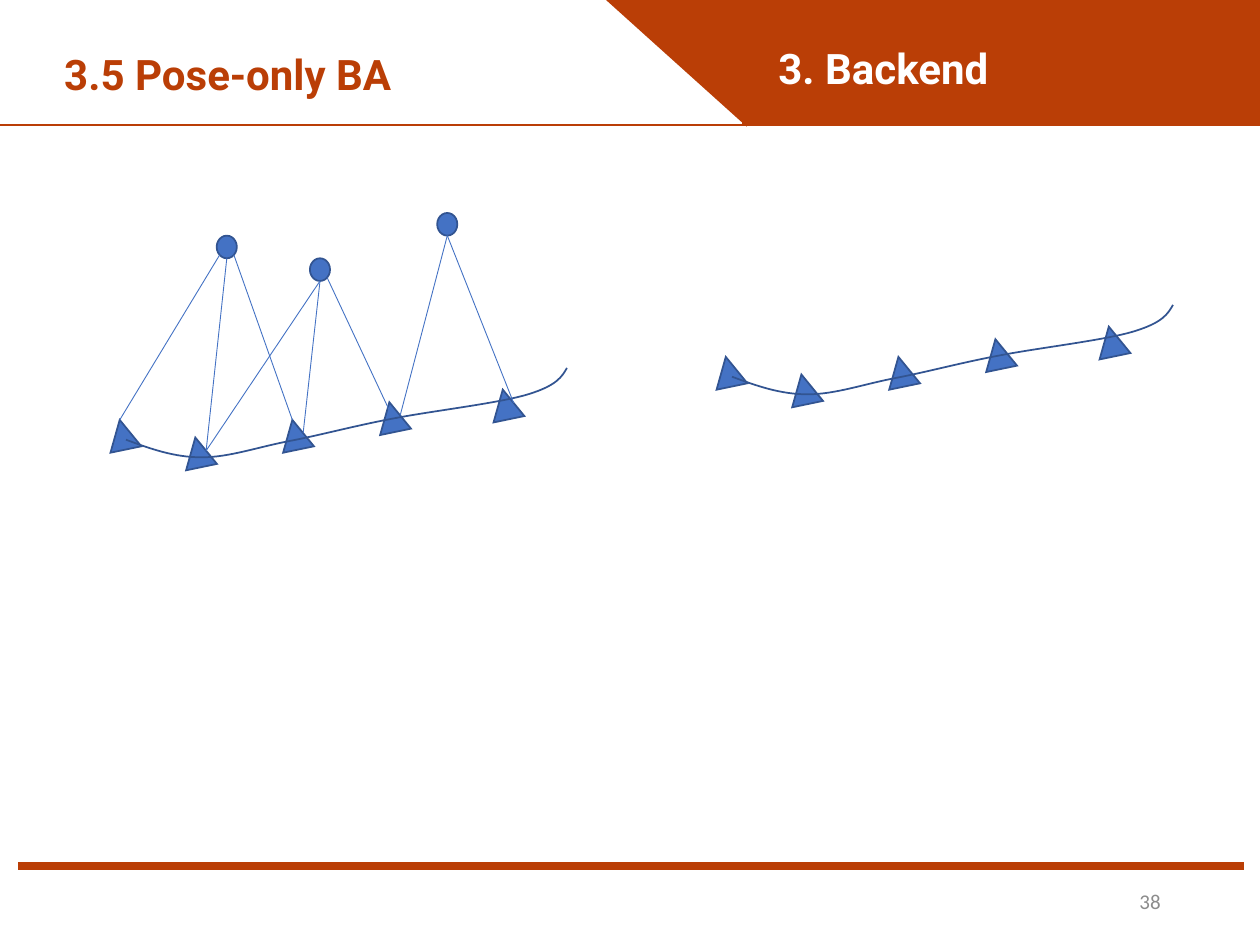
import math
from dataclasses import dataclass

import pptx
import pptx.util
import pptx.dml.color
import pptx.enum.shapes
import pptx.enum.text
import pptx.oxml.ns
from lxml import etree

KIND = pptx.enum.shapes.MSO_SHAPE
ALIGN = pptx.enum.text.PP_ALIGN
COLS, ROWS = 100, 75
CELL = pptx.util.Inches(0.1)


@dataclass(frozen=True)
class Theme:
    rust: str = "BA3E06"
    white: str = "FFFFFF"
    gray: str = "8C8C8C"
    blue: str = "4472C4"
    navy: str = "325491"
    head: str = "Roboto"
    body: str = "Calibri"
    big: int = 24
    small: int = 12
    edge: float = 1
    thin: float = 0.5


THEME = Theme()

# Grid cells, relative to the corner of the track or view
POSES = [(0, 4.1), (6, 5.5), (13.7, 4.1), (21.4, 2.7), (30.4, 1.7)]
POSE_W, POSE_H, TILT = 2.5, 2.4, -11.8
# Curve knots: a start, then two controls and an end for each arc
TRAIL = [(1.5, 5.7), (3.4, 6.4), (5.3, 7.1), (7.5, 7.1), (9.7, 7.1),
         (11.9, 6.3), (14.5, 5.8), (17.1, 5.3), (19.6, 4.6), (22.8, 4),
         (25.9, 3.4), (31.1, 2.8), (33.4, 2.1), (35.7, 1.4), (36.1, 0.7),
         (36.5, 0)]
MARKS = [(8.7, 1.8), (16.1, 3.6), (26.2, 0)]
MARK_W, MARK_H = 1.6, 1.8
DROP = 12.3  # rows from the top of the view to its track

# Angle on a landmark, and offset from the centre of a pose
LEFT, DOWN, RIGHT = 135, 90, 45
APEX, SIDE, CORE = (0, -POSE_H / 2), (POSE_W / 4, 0), (0, 0)
RAYS = [(0, LEFT, 0, APEX), (0, DOWN, 1, SIDE), (0, RIGHT, 2, APEX),
        (1, DOWN, 1, SIDE), (1, DOWN, 2, SIDE), (1, RIGHT, 3, CORE),
        (2, DOWN, 3, SIDE), (2, DOWN, 4, SIDE)]


def tag(name):
    return pptx.oxml.ns.qn("a:" + name)


def cells(*counts):
    return [round(count * CELL) for count in counts]


def color(code):
    return pptx.dml.color.RGBColor.from_string(code)


def stroke(shape, ink, size):
    shape.line.color.rgb = color(ink)
    shape.line.width = pptx.util.Pt(size)
    edge = shape.element.spPr.find(tag("ln"))
    etree.SubElement(edge, tag("miter"), lim="800000")


def draw(slide, kind, box, fill, line, turn=0):
    shape = slide.shapes.add_shape(kind, *cells(*box))
    shape.shadow.inherit = False
    shape.fill.solid()
    shape.fill.fore_color.rgb = color(fill)
    stroke(shape, line, THEME.edge)
    shape.rotation = turn
    return shape


def write(shape, box, text, font, size, ink, bold=False, align=ALIGN.LEFT):
    shape.left, shape.top, shape.width, shape.height = cells(*box)
    frame = shape.text_frame
    frame.text = text
    frame.word_wrap = True
    frame.vertical_anchor = pptx.enum.text.MSO_ANCHOR.MIDDLE
    para = frame.paragraphs[0]
    para.alignment = align
    para.line_spacing = 0.9 if bold else 1.0
    face = para.runs[0].font
    face.name, face.size, face.bold = font, pptx.util.Pt(size), bold
    face.color.rgb = color(ink)


def header(slide, box, title, part):
    """Draw the split banner with the slide title and the part name."""
    x, y, wide, high = box
    rust = THEME.rust
    draw(slide, KIND.RECTANGLE, box, rust, rust)
    draw(slide, KIND.RECTANGLE, (x - 0.7, y - 0.3, 59.7, high + 0.3),
         THEME.white, rust)
    draw(slide, KIND.RIGHT_TRIANGLE, (x + 48.2, y, 11, high), rust, rust, 180)
    name = slide.shapes.title
    name.element.getparent().append(name.element)  # in front of the banner
    write(name, (x + 4.1, y + 2.95, 0.89 * wide, 6.3), title,
          THEME.head, THEME.big, rust, True)
    label = slide.shapes.add_textbox(0, 0, CELL, CELL)
    write(label, (x + 60.8, y + 2.5, 32.3, 6.3), part,
          THEME.head, THEME.big, THEME.white, True)


def footer(slide, box, number):
    x, y, wide, high = box
    draw(slide, KIND.RECTANGLE, (x, y, wide, 0.5), THEME.rust, THEME.rust)
    label = slide.shapes.add_textbox(0, 0, CELL, CELL)
    write(label, (x + 69.1, y + 1, 22.5, high - 1), number,
          THEME.body, THEME.small, THEME.gray, align=ALIGN.RIGHT)


def bend(shape):
    """Turn each three straight segments into one cubic curve."""
    lines = list(shape.element.iter(tag("lnTo")))
    for first, *rest in zip(lines[::3], lines[1::3], lines[2::3]):
        curve = etree.Element(tag("cubicBezTo"))
        first.addprevious(curve)
        for line in (first, *rest):
            curve.append(line[0])
            line.getparent().remove(line)


def track(slide, x, y):
    """Draw the camera poses and the trail through them as one group."""
    parts = [draw(slide, KIND.ISOSCELES_TRIANGLE,
                  (x + px, y + py, POSE_W, POSE_H),
                  THEME.blue, THEME.navy, TILT) for px, py in POSES]
    knots = [cells(x + px, y + py) for px, py in TRAIL]
    pen = slide.shapes.build_freeform(*knots[0])
    pen.add_line_segments(knots[1:], close=False)
    trail = pen.convert_to_shape()
    bend(trail)
    trail.shadow.inherit = False
    trail.fill.background()
    stroke(trail, THEME.navy, THEME.edge)
    slide.shapes.add_group_shape(parts + [trail])


def ray(slide, start, end):
    line = slide.shapes.add_connector(
        pptx.enum.shapes.MSO_CONNECTOR.STRAIGHT, *cells(*start, *end))
    stroke(line, THEME.blue, THEME.thin)
    etree.SubElement(line.element.spPr, tag("effectLst"))


def view(slide, x, y):
    """Draw a track with the landmarks seen from its poses."""
    for mx, my in MARKS:
        draw(slide, KIND.OVAL, (x + mx, y + my, MARK_W, MARK_H),
             THEME.blue, THEME.navy)
    track(slide, x, y + DROP)
    cos, sin = math.cos(math.radians(TILT)), math.sin(math.radians(TILT))
    for mark, angle, pose, (dx, dy) in RAYS:
        mx, my = MARKS[mark]
        px, py = POSES[pose]
        turn = math.radians(angle)
        start = (x + mx + MARK_W / 2 * (1 + math.cos(turn)),
                 y + my + MARK_H / 2 * (1 + math.sin(turn)))
        end = (x + px + POSE_W / 2 + dx * cos - dy * sin,
               y + DROP + py + POSE_H / 2 + dx * sin + dy * cos)
        ray(slide, start, end)


def main():
    deck = pptx.Presentation()
    deck.slide_width, deck.slide_height = cells(COLS, ROWS)
    slide = deck.slides.add_slide(deck.slide_layouts[5])
    header(slide, (0, 0, COLS, 9.9), "3.5 Pose-only BA", "3. Backend")
    footer(slide, (1.5, 68.5, 97.2, 5), "38")
    view(slide, 8.5, 16.9)
    track(slide, 56.6, 24.2)
    deck.save("out.pptx")


if __name__ == "__main__":
    main()
